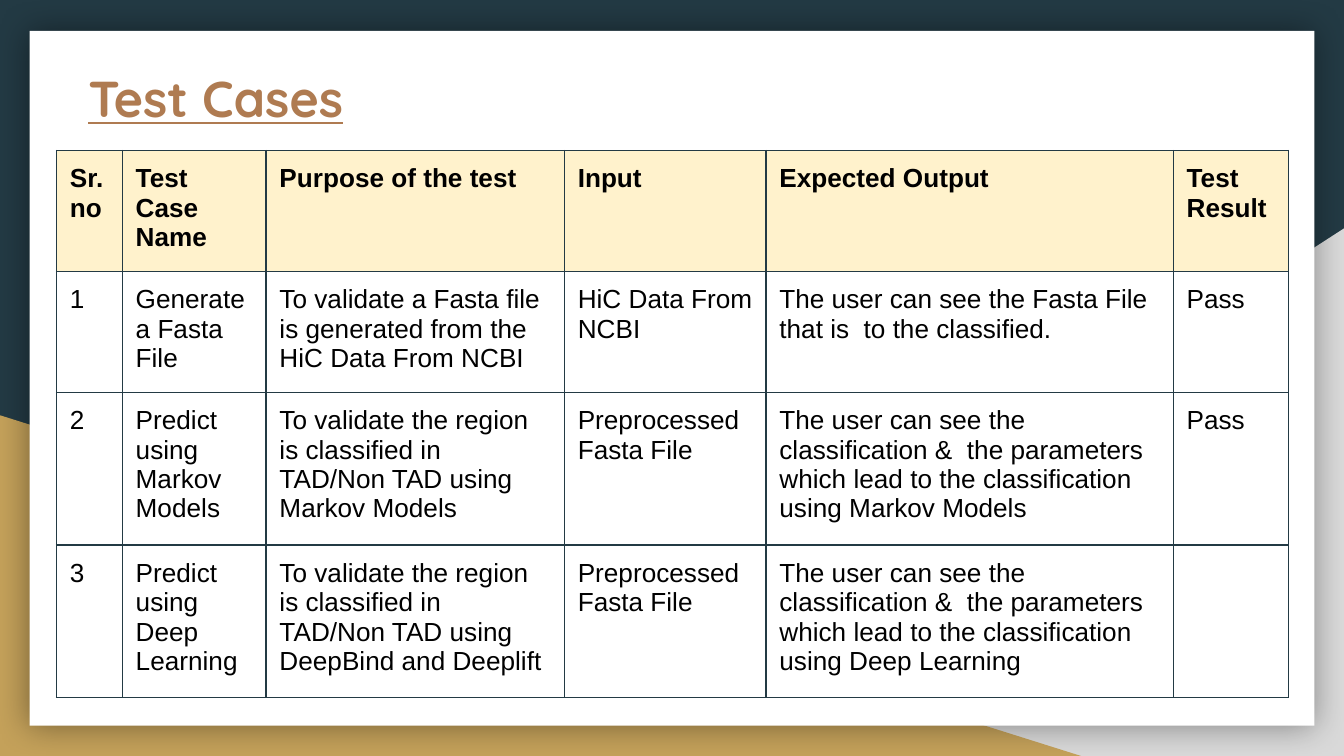
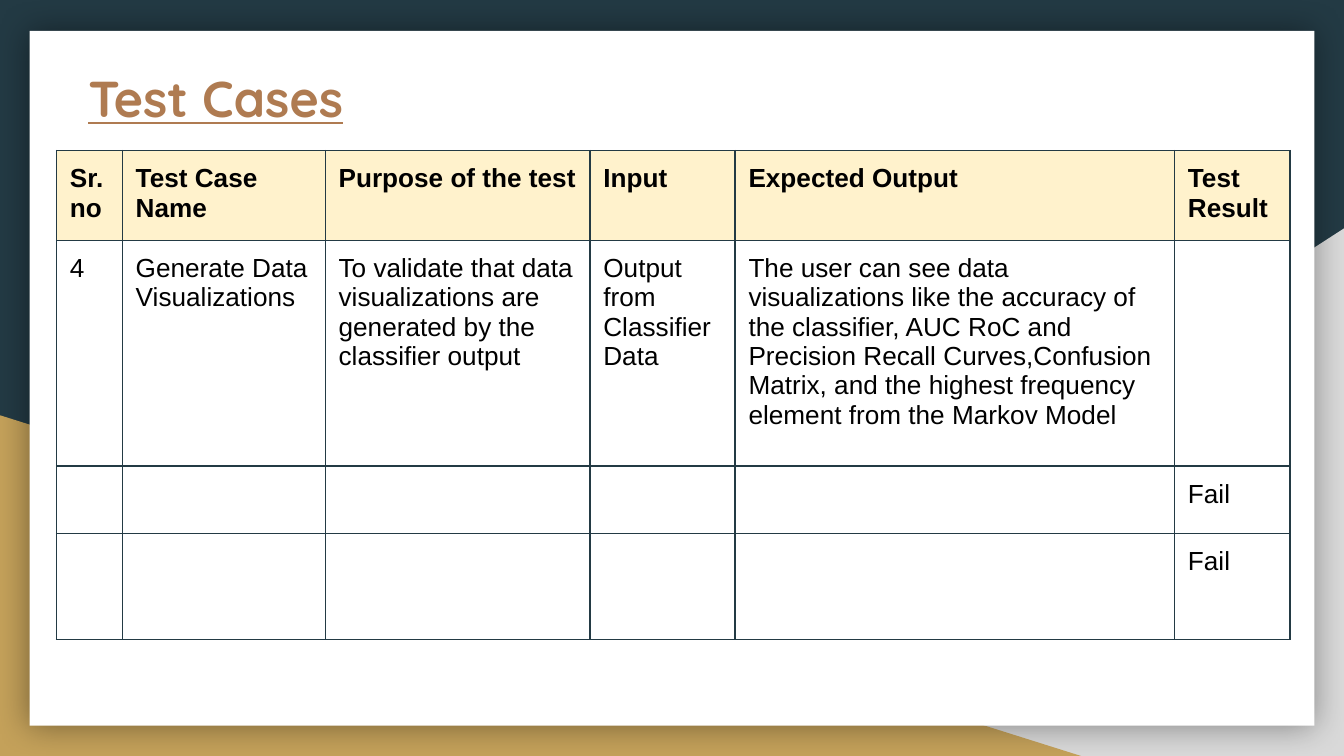
from lxml import etree
from pptx import Presentation
from pptx.dml.color import RGBColor
from pptx.enum.shapes import MSO_SHAPE
from pptx.oxml.ns import qn
from pptx.util import Inches, Pt

TRIANGLE = MSO_SHAPE.RIGHT_TRIANGLE
RECTANGLE = MSO_SHAPE.RECTANGLE

COLORS = {
    "navy": "233A44",
    "grey": "D9D9D9",
    "gold": "C4A15A",
    "white": "FFFFFF",
    "black": "000000",
    "bronze": "AF7B51",
    "header": "FFF2CC",
}
TITLE_FONT = "Quicksand"
TABLE_FONT = "Arial"
PADDING = Inches(0.1)

HEADINGS = ["Sr.no", "Test Case Name", "Purpose of the test", "Input",
            "Expected Output", "Test Result"]

TEST_TABLES = [
    {
        "columns": [0.49, 1.07, 2.22, 1.5, 3.03, 0.86],
        "heights": [0.63, 0.85, 1.09, 1.03],
        "cases": [
            ["1", "Generate a Fasta File",
             "To validate a Fasta file is generated from the HiC Data From NCBI",
             "HiC Data From NCBI",
             "The user can see the Fasta File that is  to the classified.",
             "Pass"],
            ["2", "Predict using Markov Models",
             "To validate the region is classified in TAD/Non TAD using Markov Models",
             "Preprocessed Fasta File",
             "The user can see the classification &  the parameters which lead "
             "to the classification using Markov Models",
             "Pass"],
            ["3", "Predict using Deep Learning",
             "To validate the region is classified in TAD/Non TAD using "
             "DeepBind and Deeplift",
             "Preprocessed Fasta File",
             "The user can see the classification &  the parameters which lead "
             "to the classification using Deep Learning",
             ""],
        ],
    },
    {
        "columns": [0.49, 1.51, 1.97, 1.08, 3.27, 0.86],
        "heights": [0.63, 1.68, 0.44, 0.79],
        "cases": [
            ["4", "Generate Data Visualizations",
             "To validate that data visualizations are generated by the "
             "classifier output",
             "Output from Classifier Data",
             "The user can see data visualizations like the accuracy of the "
             "classifier, AUC RoC and Precision Recall Curves,Confusion Matrix, "
             "and the highest frequency element from the Markov Model",
             ""],
            ["", "", "", "", "", "Fail"],
            ["", "", "", "", "", "Fail"],
        ],
    },
]


def rgb(name):
    return RGBColor.from_string(COLORS[name])


def add_panel(slide, preset, left, top, width, height, color):
    panel = slide.shapes.add_shape(
        preset, Inches(left), Inches(top), Inches(width), Inches(height))
    panel.shadow.inherit = False
    panel.fill.solid()
    panel.fill.fore_color.rgb = rgb(color)
    panel.line.fill.background()
    return panel


def add_glow_shadow(panel):
    """Give the panel a soft, centred shadow."""
    effects = panel._element.spPr.find(qn("a:effectLst"))
    shadow = etree.SubElement(effects, qn("a:outerShdw"), blurRad=str(Pt(18)),
                              dist="0", dir="0", algn="ctr", rotWithShape="0")
    color = etree.SubElement(shadow, qn("a:srgbClr"), val=COLORS["black"])
    etree.SubElement(color, qn("a:alpha"), val="40000")


def add_backdrop(slide):
    slide.background.fill.solid()
    slide.background.fill.fore_color.rgb = rgb("navy")
    right_corner = add_panel(slide, TRIANGLE, 3.92, 1.7, 6.08, 3.93, "grey")
    right_corner._element.spPr.find(qn("a:xfrm")).set("flipH", "1")
    add_panel(slide, TRIANGLE, 0, 3.09, 8.06, 2.54, "gold")
    add_glow_shadow(add_panel(slide, RECTANGLE, 0.22, 0.23, 9.56, 5.17, "white"))


def pad(box):
    box.margin_left = box.margin_right = PADDING
    box.margin_top = box.margin_bottom = PADDING


def add_run(paragraph, text, font, size, color, bold):
    run = paragraph.add_run()
    run.text = text
    run.font.name = font
    run.font.size = Pt(size)
    run.font.bold = bold
    run.font.color.rgb = rgb(color)
    return run


def add_title(slide, text):
    frame = slide.shapes.add_textbox(
        Inches(0.56), Inches(0.4), Inches(8.55), Inches(0.59)).text_frame
    frame.word_wrap = True
    pad(frame)
    title = add_run(frame.paragraphs[0], text, TITLE_FONT, 27, "bronze", True)
    title.font.underline = True


def add_borders(cell):
    properties = cell._tc.get_or_add_tcPr()
    for side in ("lnL", "lnR", "lnT", "lnB"):
        border = etree.SubElement(properties, qn(f"a:{side}"), w=str(Pt(0.75)))
        fill = etree.SubElement(border, qn("a:solidFill"))
        etree.SubElement(fill, qn("a:srgbClr"), val=COLORS["navy"])


def fill_cell(cell, text, is_header):
    pad(cell)
    add_borders(cell)
    if is_header:
        cell.fill.solid()
        cell.fill.fore_color.rgb = rgb("header")
    else:
        cell.fill.background()
    if text:
        add_run(cell.text_frame.paragraphs[0], text, TABLE_FONT, 14, "black",
                is_header)


def add_test_table(slide, columns, heights, cases):
    table = slide.shapes.add_table(
        len(heights), len(columns), Inches(0.42), Inches(1.12),
        Inches(sum(columns)), Inches(sum(heights))).table
    table.first_row = table.horz_banding = False
    for column, width in zip(table.columns, columns):
        column.width = Inches(width)
    for index, (row, height) in enumerate(zip(table.rows, heights)):
        row.height = Inches(height)
        for cell, text in zip(row.cells, [HEADINGS, *cases][index]):
            fill_cell(cell, text, is_header=index == 0)


def main():
    deck = Presentation()
    deck.slide_width = Inches(10)
    deck.slide_height = Inches(5.625)
    blank = deck.slide_layouts[6]
    for test_table in TEST_TABLES:
        slide = deck.slides.add_slide(blank)
        add_backdrop(slide)
        add_title(slide, "Test Cases")
        add_test_table(slide, **test_table)
    deck.save("out.pptx")


if __name__ == "__main__":
    main()
